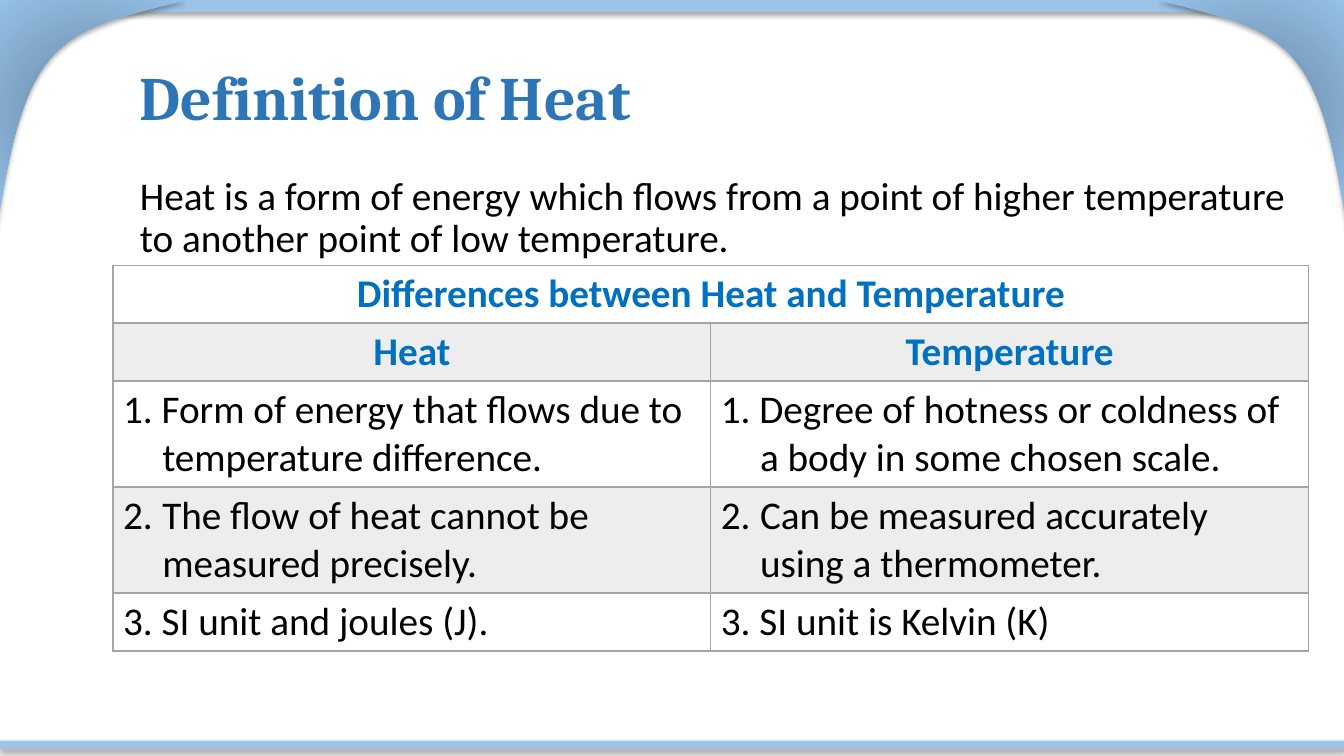
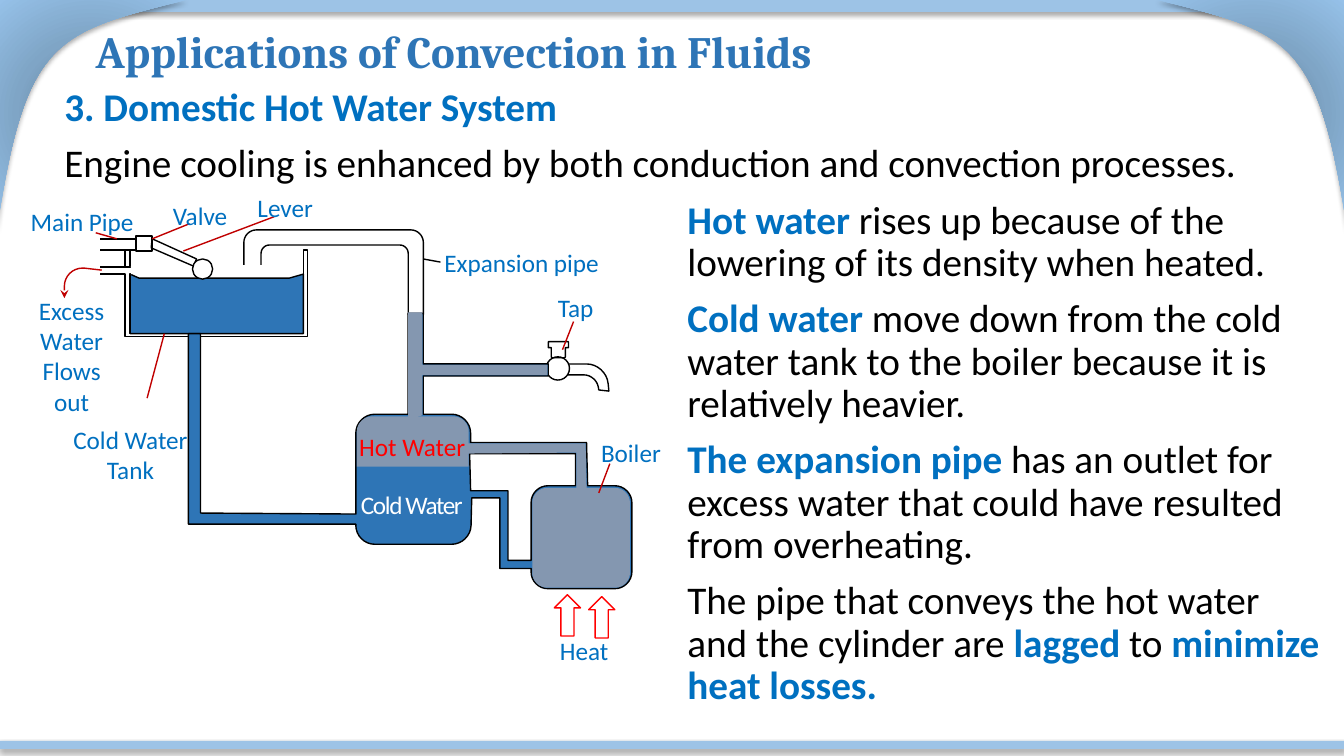
"""Build two physics slides: heat versus temperature, and a domestic hot water system."""
from math import hypot

from pptx import Presentation
from pptx import oxml
from pptx.dml.color import RGBColor
from pptx.enum import shapes as kinds, text as txt
from pptx.oxml import ns
from pptx.util import Pt

WIDTH, HEIGHT = 960, 540
BLACK = RGBColor(0x00, 0x00, 0x00)
WHITE = RGBColor(0xFF, 0xFF, 0xFF)
RED = RGBColor(0xFF, 0x00, 0x00)
LEADER_RED = RGBColor(0xC0, 0x00, 0x00)
BAND_BLUE = RGBColor(0x9D, 0xC3, 0xE6)
TITLE_BLUE = RGBColor(0x2E, 0x75, 0xB6)
ACCENT_BLUE = RGBColor(0x00, 0x70, 0xC0)
COLD_BLUE = TITLE_BLUE
HOT_GREY = RGBColor(0x84, 0x97, 0xB0)
ROW_GREY = RGBColor(0xED, 0xED, 0xED)
BORDER_GREY = RGBColor(0xA5, 0xA5, 0xA5)
CORNER_STOPS = ((0, "5A748B"), (50, "7FA5C6"), (100, "97C3EB"))
TITLE_FONT, BODY_FONT = "Cambria", "Calibri"
RECT = kinds.MSO_SHAPE.RECTANGLE
OVAL = kinds.MSO_SHAPE.OVAL
UP_ARROW = kinds.MSO_SHAPE.UP_ARROW
CENTER = txt.PP_ALIGN.CENTER

DIFFERENCES = (
    ("Differences between Heat and Temperature", ""),
    ("Heat", "Temperature"),
    ("1. Form of energy that flows due to temperature difference.",
     "1. Degree of hotness or coldness of a body in some chosen scale."),
    ("2.\tThe flow of heat cannot be measured precisely.",
     "2.\tCan be measured accurately using a thermometer."),
    ("3. SI unit and joules (J).", "3. SI unit is Kelvin (K)"),
)
ROW_HEIGHTS = (41.4, 41.4, 75.7, 75.7, 41.4)

HOT_WATER_TEXT = (
    "*3. Domestic Hot Water System*",
    "Engine cooling is enhanced by both conduction and convection processes.",
    "*Hot water *rises up because of the lowering of its density when heated.",
    "*Cold water *move down from the cold water tank to the boiler because it is relatively heavier.",
    "*The expansion pipe *has an outlet for excess water that could have resulted from overheating.",
    "The pipe that conveys the hot water and the cylinder are *lagged* to *minimize heat losses.*",
)

SPOUT = ((405.4, 260), (433, 260, 14), (434.9, 279.4), (427.7, 278.6), (426, 267.8, 9), (405.4, 267.8))
COLD_TANK_WATER = ((99.4, 198.7), (206.6, 198.7), (216.7, 195.8), (216.7, 238.3), (92.9, 238.3), (92.9, 195.8))
TANK_WALL = ((89.3, 178.6), (92.9, 178.6), (92.9, 190.8), (94.3, 190.8), (94.3, 195.8), (92.9, 195.8),
             (92.9, 238.3), (216.7, 238.3), (216.7, 178.6), (219.6, 178.6), (219.6, 240.5), (89.3, 240.5),
             (89.3, 195.8), (68.4, 195.8), (68.4, 190.8), (89.3, 190.8))
TAP_HANDLE = ((391.7, 244.1), (406.1, 244.1), (406.1, 248.4), (403.9, 248.4),
              (403.9, 255.6, 1), (393.8, 255.6, 1), (393.8, 248.4), (391.7, 248.4))
EXPANSION_PIPE = ((174.2, 164.2, 9), (302.4, 164.2, 9), (302.4, 224.6), (291.6, 224.6),
                  (291.6, 175, 6), (186.5, 175, 6), (186.5, 195.8), (174.2, 195.8))
PLUMBING = ((291.6, 223.9), (302.4, 223.9), (302.4, 259.9), (391.7, 259.9), (391.7, 268.6), (302.4, 268.6),
            (302.4, 295.9), (336.2, 295.9, 13.6), (336.2, 316.1), (419, 316.1), (419.8, 347),
            (451.4, 347, 12.2), (451.4, 420.5, 12.2), (379.4, 420.5, 12), (379.4, 406.1), (357.1, 406.1),
            (357.1, 355.7), (337, 355.7), (336.2, 388.8, 13.6), (254.2, 388.8, 13.6), (254.2, 374.4),
            (134.6, 374.4), (134.6, 238.3), (143.3, 238.3), (143.3, 366.5), (254.2, 367.2),
            (254.2, 295.9, 13.6), (291.6, 295.9))
PLUMBING_GAP = ((335.5, 324), (336.2, 350.6), (362.9, 350.6), (362.9, 400.3), (379.4, 400.3),
                (379.4, 347, 12), (411.1, 347), (411.1, 324))
HOT_CYLINDER = ((254.9, 297.4, 11), (334.8, 297.4, 11), (334.8, 333.4), (254.9, 333.4))
HOT_BOILER = ((334.1, 316.8), (418.3, 316.8), (419, 348.5), (450, 348.5, 10.8), (450, 419.8, 10.8),
              (380.2, 419.8, 10.8), (380.2, 348.5, 10.8), (411.8, 348.5), (411.8, 323.3), (334.1, 324))
HOT_RISER = ((291.6, 223.2), (291.6, 300.2), (301.7, 296.6), (301.7, 267.8),
             (391, 267.8), (391, 260.6), (301.7, 260.6), (301.7, 223.2))
LEVER = ((108, 177.1), (138.2, 190.1), (140.4, 185), (108.7, 170.6))
OVERFLOW = ((72.7, 193), (60, 191.5), (46, 191.5, 13), (46, 213))

LABELS = (
    ("Tap", 391, 205.2, 40.3, ACCENT_BLUE),
    ("Heat", 392.4, 450, 49.7, ACCENT_BLUE),
    ("Hot Water", 249.1, 304.6, 90.7, RED),
    ("Boiler", 421.9, 308.9, 57.6, ACCENT_BLUE),
    ("Excess\nWater\nFlows\nout", 20.2, 207.4, 61.9, ACCENT_BLUE),
    ("Main Pipe", 14.4, 144, 88.6, ACCENT_BLUE),
    ("Expansion pipe", 309.6, 172.8, 126, ACCENT_BLUE),
    ("Cold Water\nTank", 44.6, 299.5, 97.2, ACCENT_BLUE),
    ("Valve", 115.9, 139.7, 54, ACCENT_BLUE),
    ("Lever", 176.4, 133.9, 54.7, ACCENT_BLUE),
)
LEADERS = (
    ((409.7, 229.7), (401.8, 249.8), LEADER_RED),
    ((435.6, 331.2), (427.7, 352.1), LEADER_RED),
    ((314.6, 187.2), (302.4, 185), BLACK),
    ((117.4, 238.3), (105.1, 284.4), LEADER_RED),
    ((108.7, 170.6), (135.4, 159.8), LEADER_RED),
    ((131, 179.3), (195.8, 154.8), LEADER_RED),
)


def curve(start, pull_start, pull_end, end, steps=16):
    weights = [((1 - t) ** 3, 3 * t * (1 - t) ** 2, 3 * t * t * (1 - t), t ** 3)
               for t in (i / steps for i in range(steps + 1))]
    ends = (start, pull_start, pull_end, end)
    return [tuple(sum(w * p[axis] for w, p in zip(row, ends)) for axis in (0, 1)) for row in weights]


def toward(origin, target, distance):
    dx, dy = target[0] - origin[0], target[1] - origin[1]
    share = distance / hypot(dx, dy)
    return origin[0] + dx * share, origin[1] + dy * share


def rounded(corners):
    points = []
    for i, corner in enumerate(corners):
        if len(corner) == 2:
            points.append(corner)
            continue
        radius = corner[2]
        before, after = corners[i - 1], corners[(i + 1) % len(corners)]
        points += curve(toward(corner, before, radius), toward(corner, before, radius * 0.45),
                        toward(corner, after, radius * 0.45), toward(corner, after, radius), 8)
    return points


def paint(shape, fill=None, line=None):
    shape.shadow.inherit = False
    if fill is None:
        shape.fill.background()
    else:
        shape.fill.solid()
        shape.fill.fore_color.rgb = fill
    if line is None:
        shape.line.fill.background()
    else:
        shape.line.color.rgb = line
        shape.line.width = Pt(1)
    return shape


def block(slide, kind, left, top, width, height, fill=None, line=None):
    return paint(slide.shapes.add_shape(kind, Pt(left), Pt(top), Pt(width), Pt(height)), fill, line)


def outline(slide, contours, fill=None, line=None, close=True):
    builder = None
    for contour in contours:
        first, *rest = [(Pt(x), Pt(y)) for x, y in contour]
        if builder is None:
            builder = slide.shapes.build_freeform(*first)
        else:
            builder.move_to(*first)
        builder.add_line_segments(rest, close=close)
    return paint(builder.convert_to_shape(), fill, line)


def leader(slide, start, end, color):
    line = slide.shapes.add_connector(kinds.MSO_CONNECTOR.STRAIGHT, *map(Pt, start + end))
    line.line.color.rgb = color
    line.line.width = Pt(1)
    oxml.parse_xml  
    line._element.spPr.append(oxml.parse_xml(f"<a:effectLst {ns.nsdecls('a')}/>"))
    return line


def cast_shadow(shape):
    shape._element.spPr.find(ns.qn("a:effectLst")).append(oxml.parse_xml(
        f'<a:outerShdw {ns.nsdecls("a")} blurRad="{Pt(3.5)}" dist="{Pt(2.2)}" dir="5400000" algn="t" '
        'rotWithShape="0"><a:srgbClr val="000000"><a:alpha val="32000"/></a:srgbClr></a:outerShdw>'))


def fill_radial(shape, stops):
    marks = "".join(f'<a:gs pos="{pos * 1000}"><a:srgbClr val="{color}"/></a:gs>' for pos, color in stops)
    solid = shape._element.spPr.find(ns.qn("a:solidFill"))
    solid.getparent().replace(solid, oxml.parse_xml(
        f'<a:gradFill {ns.nsdecls("a")} rotWithShape="1"><a:gsLst>{marks}</a:gsLst><a:path path="circle">'
        '<a:fillToRect l="50000" t="50000" r="50000" b="50000"/></a:path></a:gradFill>'))


def style(font, size, color, bold=False, name=BODY_FONT):
    font.name, font.size, font.bold = name, Pt(size), bold
    font.color.rgb = color


def text_frame(slide, left, top, width, height):
    frame = slide.shapes.add_textbox(Pt(left), Pt(top), Pt(width), Pt(height)).text_frame
    frame.word_wrap = True
    return frame


def add_frame(slide):
    edge = curve((133.2, 0), (40.3, 23), (18, 26.6), (-2.2, 164.2), 40)
    left_corner = [(-0.7, -2.2)] + edge
    right_corner = [(WIDTH - x, y) for x, y in left_corner]
    cast_shadow(block(slide, RECT, 23, 0, 925.2, 8.6, BAND_BLUE))
    for corner in (left_corner, right_corner):
        swoop = outline(slide, [corner], BAND_BLUE)
        fill_radial(swoop, CORNER_STOPS)
        cast_shadow(swoop)
    cast_shadow(block(slide, RECT, 0, 529.2, WIDTH, 5.8, BAND_BLUE))


def add_title(slide, words, size, *box):
    frame = text_frame(slide, *box)
    frame.vertical_anchor = txt.MSO_ANCHOR.MIDDLE
    frame.text = words
    frame.paragraphs[0].line_spacing = 0.9
    style(frame.paragraphs[0].runs[0].font, size, TITLE_BLUE, True, TITLE_FONT)


def add_body(slide, paragraphs, box, indent_from=None):
    frame = text_frame(slide, *box)
    for i, words in enumerate(paragraphs):
        paragraph = frame.add_paragraph() if i else frame.paragraphs[0]
        paragraph.line_spacing = 0.9
        if i:
            paragraph.space_before = Pt(10)
        if indent_from is not None and i >= indent_from:
            paragraph._p.get_or_add_pPr().set("marL", str(Pt(445)))
        for part, piece in enumerate(words.split("*")):
            if piece:
                run = paragraph.add_run()
                run.text = piece
                strong = part % 2 == 1
                style(run.font, 28, ACCENT_BLUE if strong else BLACK, strong)


def set_borders(cell, widths):
    properties = cell._tc.get_or_add_tcPr()
    for place, (side, width) in enumerate(zip("LRTB", widths)):
        properties.insert(place, oxml.parse_xml(
            f'<a:ln{side} {ns.nsdecls("a")} w="{Pt(width)}"><a:solidFill><a:srgbClr val="{BORDER_GREY}"/>'
            f'</a:solidFill></a:ln{side}>'))


def add_differences(slide):
    table = slide.shapes.add_table(len(DIFFERENCES), 2, Pt(80.7), Pt(189.4), Pt(854), Pt(sum(ROW_HEIGHTS))).table
    table.first_row = table.horz_banding = False
    table.cell(0, 0).merge(table.cell(0, 1))
    for r, (height, entries) in enumerate(zip(ROW_HEIGHTS, DIFFERENCES)):
        table.rows[r].height = Pt(height)
        heading = r < 2
        for c, words in enumerate(entries):
            cell = table.cell(r, c)
            if r % 2:
                cell.fill.solid()
                cell.fill.fore_color.rgb = ROW_GREY
            else:
                cell.fill.background()
            set_borders(cell, (1, 1, 2 if r == 1 else 1, 2 if r == 0 else 1))
            if not words:
                continue
            paragraph = cell.text_frame.paragraphs[0]
            paragraph.text = words
            if heading:
                paragraph.alignment = CENTER
            else:
                indents = paragraph._p.get_or_add_pPr()
                indents.set("marL", str(Pt(28)))
                indents.set("indent", str(-Pt(28)))
            style(paragraph.runs[0].font, 28, ACCENT_BLUE if heading else BLACK, heading)


def add_label(slide, words, left, top, width, color):
    lines = words.count("\n") + 1
    frame = text_frame(slide, left, top, width, 21.6 * lines + 7.2)
    frame.word_wrap = False
    frame.auto_size = txt.MSO_AUTO_SIZE.SHAPE_TO_FIT_TEXT
    frame.text = words
    for paragraph in frame.paragraphs:
        paragraph.alignment = CENTER
        style(paragraph.runs[0].font, 18, color)
    return frame


def add_water_system(slide):
    outline(slide, [rounded(SPOUT)], line=BLACK)
    outline(slide, [COLD_TANK_WATER], COLD_BLUE, BLACK)
    outline(slide, [TANK_WALL], line=BLACK)
    block(slide, OVAL, 390.2, 254.9, 16.6, 16.6, WHITE, BLACK)
    for pipe in (TAP_HANDLE, EXPANSION_PIPE):
        outline(slide, [rounded(pipe)], line=BLACK)
    outline(slide, [rounded(PLUMBING), rounded(PLUMBING_GAP)], COLD_BLUE, BLACK)
    for hot_part in (HOT_CYLINDER, HOT_BOILER, HOT_RISER):
        outline(slide, [rounded(hot_part)], HOT_GREY)
    block(slide, RECT, 93.6, 190.1, 5, 5.8, WHITE)
    leader(slide, (89.3, 190.8), (92.9, 190.8), BLACK)
    block(slide, RECT, 171.4, 189.4, 22.3, 7.9, WHITE)
    main_pipe = block(slide, RECT, 68.4, 170.6, 30.2, 7.9, line=BLACK)
    block(slide, RECT, 97.2, 168.5, 11.5, 10.8, WHITE, BLACK)
    outline(slide, [LEVER], line=BLACK)
    block(slide, OVAL, 137.5, 185, 14.4, 14.4, WHITE, BLACK)
    block(slide, RECT, 64.8, 167, 6.5, 30.2, WHITE)
    for left, top in ((396, 424.8), (420.5, 426.2)):
        block(slide, UP_ARROW, left, top, 18.7, 29.5, line=RED)
    overflow = outline(slide, [rounded(OVERFLOW)], line=LEADER_RED, close=False)
    overflow.line._get_or_add_ln().append(oxml.parse_xml(f'<a:tailEnd {ns.nsdecls("a")} type="stealth"/>'))
    for start, end, color in LEADERS:
        leader(slide, start, end, color)
    leader(slide, (83.5, 170.6), (68.4, 166.3), LEADER_RED).begin_connect(main_pipe, 0)
    for label in LABELS:
        add_label(slide, *label)
    cold_label = add_label(slide, "Cold Water", 250.6, 346.3, 87.1, WHITE)
    cold_label.paragraphs[0].runs[0].font._element.set("spc", "-100")


def main():
    deck = Presentation()
    deck.slide_width, deck.slide_height = Pt(WIDTH), Pt(HEIGHT)
    definition, convection = (deck.slides.add_slide(deck.slide_layouts[6]) for _ in range(2))
    for slide in (definition, convection):
        add_frame(slide)
    add_title(definition, "Definition of Heat", 44, 92.9, 21.6, 805, 100.8)
    add_body(definition, ["Heat is a form of energy which flows from a point of higher temperature "
                          "to another point of low temperature."], (92.9, 122.4, 856, 396))
    add_differences(definition)
    add_title(convection, "Applications of Convection in Fluids", 32, 61.2, 5.8, 837.4, 65.5)
    add_body(convection, HOT_WATER_TEXT, (38.9, 59, 912.2, 434.9), indent_from=2)
    add_water_system(convection)
    deck.save("out.pptx")


if __name__ == "__main__":
    main()
